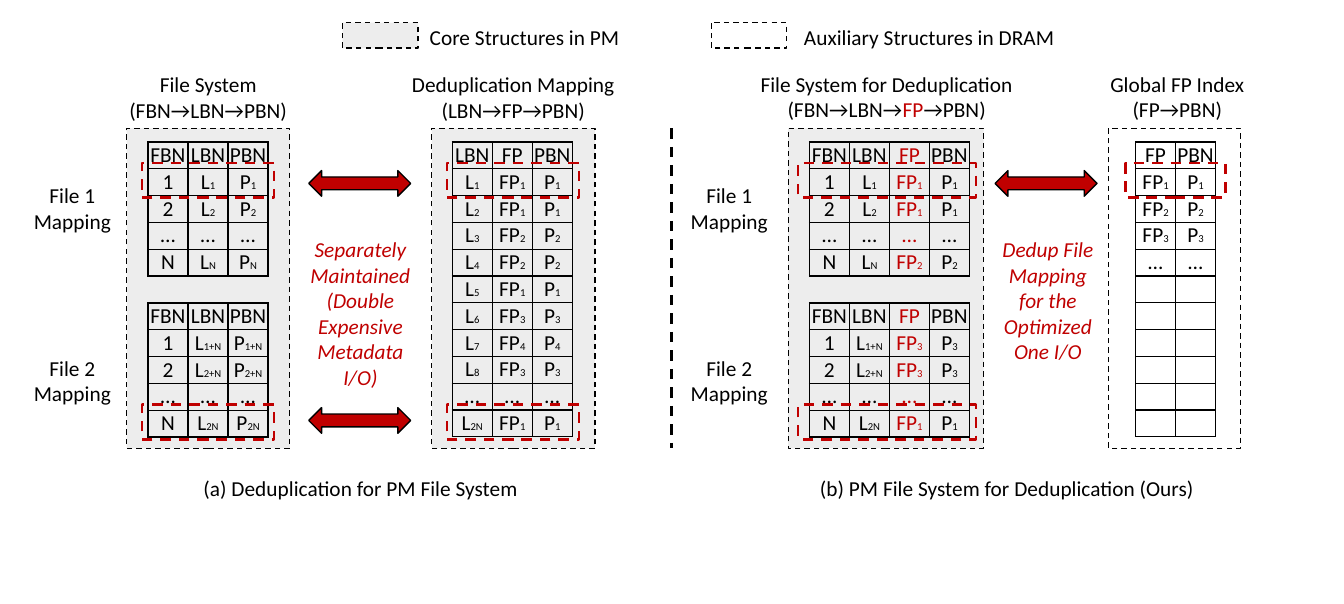
from lxml import etree
from pptx import Presentation
from pptx.dml.color import RGBColor
from pptx.enum.dml import MSO_LINE
from pptx.enum.shapes import MSO_CONNECTOR, MSO_SHAPE
from pptx.enum.text import PP_ALIGN
from pptx.oxml import parse_xml
from pptx.oxml.ns import nsdecls, qn
from pptx.util import Cm, Pt

BLACK = RGBColor(0x00, 0x00, 0x00)
WHITE = RGBColor(0xFF, 0xFF, 0xFF)
GREY = RGBColor(0xED, 0xED, 0xED)
RED = RGBColor(0xC0, 0x00, 0x00)
DASH = MSO_LINE.DASH
RECT = MSO_SHAPE.RECTANGLE
ARROW = MSO_SHAPE.LEFT_RIGHT_ARROW
CENTER = PP_ALIGN.CENTER
FONT = "Calibri"

# Table rows; an underscore starts a subscript
FILE1 = ["FBN LBN PBN", "1 L_1 P_1", "2 L_2 P_2", "… … …", "N L_N P_N"]
FILE2 = ["FBN LBN PBN", "1 L_1+N P_1+N", "2 L_2+N P_2+N", "… … …",
         "N L_2N P_2N"]
DEDUP = ["LBN FP PBN", "L_1 FP_1 P_1", "L_2 FP_1 P_1", "L_3 FP_2 P_2",
         "L_4 FP_2 P_2", "L_5 FP_1 P_1", "L_6 FP_3 P_3", "L_7 FP_4 P_4",
         "L_8 FP_3 P_3", "… … …", "L_2N FP_1 P_1"]
OURS1 = ["FBN LBN FP PBN", "1 L_1 FP_1 P_1", "2 L_2 FP_1 P_1", "… … … …",
         "N L_N FP_2 P_2"]
OURS2 = ["FBN LBN FP PBN", "1 L_1+N FP_3 P_3", "2 L_2+N FP_3 P_3", "… … … …",
         "N L_2N FP_1 P_1"]
INDEX = ["FP PBN", "FP_1 P_1", "FP_2 P_2", "FP_3 P_3", "… …"] + [""] * 6

TOP, TALL = 1.7, 4.24
GRID_TOP, COL, ROW = 1.88, 0.53, 3.91 / 11
SECOND = GRID_TOP + 6 * ROW
HIGH, LOW = 2.16, 5.36
LINE = 0.34

# Panel left, width, fill; table left, tables by top, red column;
# mark left, width, tops
PANELS = [
    (1.68, 2.16, GREY, 1.96, {GRID_TOP: FILE1, SECOND: FILE2}, None,
     1.88, 1.75, (HIGH, LOW)),
    (5.72, 2.16, GREY, 5.99, {GRID_TOP: DEDUP}, None,
     5.92, 1.75, (HIGH, LOW)),
    (10.44, 2.59, GREY, 10.72, {GRID_TOP: OURS1, SECOND: OURS2}, 2,
     10.57, 2.36, (HIGH, LOW)),
    (14.68, 1.75, WHITE, 15.04, {GRID_TOP: INDEX}, None,
     14.91, 1.32, (HIGH,)),
]
# Left, top, width, lines
LABELS = [
    (0.3, 2.42, 1.32, ["File 1", "Mapping"]),
    (0.3, 4.7, 1.32, ["File 2", "Mapping"]),
    (9.0, 2.42, 1.32, ["File 1", "Mapping"]),
    (9.0, 4.7, 1.32, ["File 2", "Mapping"]),
    (1.68, 0.95, 2.16, ["File System", "(FBN→LBN→PBN)"]),
    (5.39, 0.95, 2.82, ["Deduplication Mapping", "(LBN→FP→PBN)"]),
    (9.88, 0.94, 3.73, ["File System for Deduplication",
                        ("(FBN→LBN→", "FP", "→PBN)")]),
    (14.3, 0.94, 2.59, ["Global FP Index", "(FP→PBN)"]),
    (5.54, 0.32, 2.82, ["Core Structures in PM"]),
    (10.57, 0.32, 3.48, ["Auxiliary Structures in DRAM"]),
    (1.68, 6.3, 6.2, ["(a) Deduplication for PM File System"]),
    (10.24, 6.3, 6.2, ["(b) PM File System for Deduplication (Ours)"]),
]
# Left, width, lines
NOTES = [
    (3.96, 1.63, ["Separately Maintained", "(Double Expensive Metadata I/O)"]),
    (13.26, 1.24, ["Dedup File Mapping for the Optimized One I/O"]),
]
KEYS = [(4.54, GREY), (9.42, WHITE)]
ARROWS = [(4.09, 2.26), (4.09, 5.4), (13.18, 2.26)]


def style(para, color=BLACK, italic=False):
    para.alignment = CENTER
    font = para.font
    font.name, font.size, font.italic = FONT, Pt(8), italic
    font.color.rgb = color


def add_box(slide, kind, x, y, w, h, fill, line=BLACK, width=0.5, dash=DASH):
    box = slide.shapes.add_shape(kind, Cm(x), Cm(y), Cm(w), Cm(h))
    box.shadow.inherit = False
    if fill is None:
        box.fill.background()
    else:
        box.fill.solid()
        box.fill.fore_color.rgb = fill
    box.line.color.rgb = line
    box.line.width = Pt(width)
    if dash:
        box.line.dash_style = dash


def add_text(slide, x, y, w, h, lines, color=BLACK, italic=False):
    """A line given as a tuple has its middle part in red."""
    frame = slide.shapes.add_textbox(Cm(x), Cm(y), Cm(w), Cm(h)).text_frame
    frame.word_wrap = True
    frame.margin_left = frame.margin_right = 0
    frame.margin_top = frame.margin_bottom = 0
    for i, line in enumerate(lines):
        para = frame.add_paragraph() if i else frame.paragraphs[0]
        style(para, color, italic)
        parts = line if isinstance(line, tuple) else (line,)
        for j, part in enumerate(parts):
            run = para.add_run()
            run.text = part
            if j == 1:
                run.font.color.rgb = RED


def add_edges(cell):
    props = cell._tc.get_or_add_tcPr()
    for side in "LRTB":
        props.append(parse_xml(
            f'<a:ln{side} {nsdecls("a")} w="6350"><a:solidFill>'
            f'<a:srgbClr val="{BLACK}"/></a:solidFill></a:ln{side}>'))


def fill_cell(cell, text, color):
    cell.margin_left = cell.margin_right = 0
    cell.margin_top = cell.margin_bottom = 0
    add_edges(cell)
    cell.fill.background()
    para = cell.text_frame.paragraphs[0]
    style(para, color)
    base, _, sub = text.partition("_")
    if base:
        para.add_run().text = base
    else:
        etree.SubElement(para._p, qn("a:endParaRPr"), sz="800")
    if sub:
        run = para.add_run()
        run.text = sub
        run.font.size = Pt(4)


def add_grid(slide, x, y, rows, red):
    cols = len(rows[0].split())
    table = slide.shapes.add_table(len(rows), cols, Cm(x), Cm(y),
                                   Cm(cols * COL), Cm(len(rows) * ROW)).table
    table.first_row = table.horz_banding = False
    for r, row in enumerate(rows):
        table.rows[r].height = Cm(ROW)
        words = row.split() or [""] * cols
        for c, word in enumerate(words):
            fill_cell(table.cell(r, c), word, RED if c == red else BLACK)


def main():
    deck = Presentation()
    deck.slide_width, deck.slide_height = Cm(17.8), Cm(8)
    slide = deck.slides.add_slide(deck.slide_layouts[6])

    for x, w, fill, left, grids, red, mark, wide, tops in PANELS:
        add_box(slide, RECT, x, TOP, w, TALL, fill)
        for y, rows in grids.items():
            add_grid(slide, left, y, rows, red)
        for y in tops:
            add_box(slide, RECT, mark, y, wide, 0.46, None, RED, 1)
    for x, fill in KEYS:
        add_box(slide, RECT, x, 0.3, 1, 0.34, fill)
    for x, y in ARROWS:
        add_box(slide, ARROW, x, y, 1.35, 0.34, RED, dash=None)
    for x, y, w, lines in LABELS:
        add_text(slide, x, y, w, len(lines) * LINE, lines)
    for x, w, lines in NOTES:
        add_text(slide, x, 3.13, w, 5 * LINE, lines, RED, True)

    rule = slide.shapes.add_connector(MSO_CONNECTOR.STRAIGHT, Cm(8.89), Cm(TOP),
                                      Cm(8.89), Cm(TOP + TALL))
    rule.line.color.rgb = BLACK
    rule.line.width = Pt(1)
    rule.line.dash_style = DASH
    etree.SubElement(rule._element.spPr, qn("a:effectLst"))
    deck.save("out.pptx")


if __name__ == "__main__":
    main()
